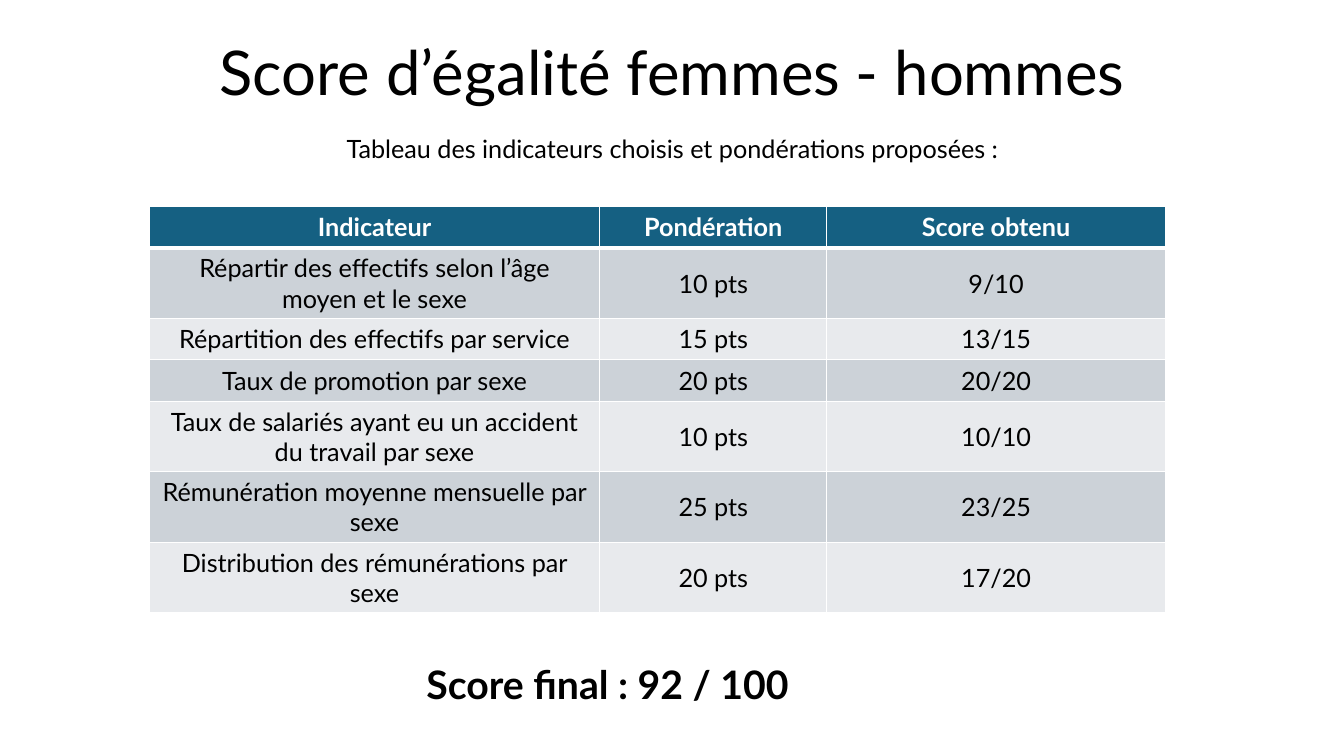
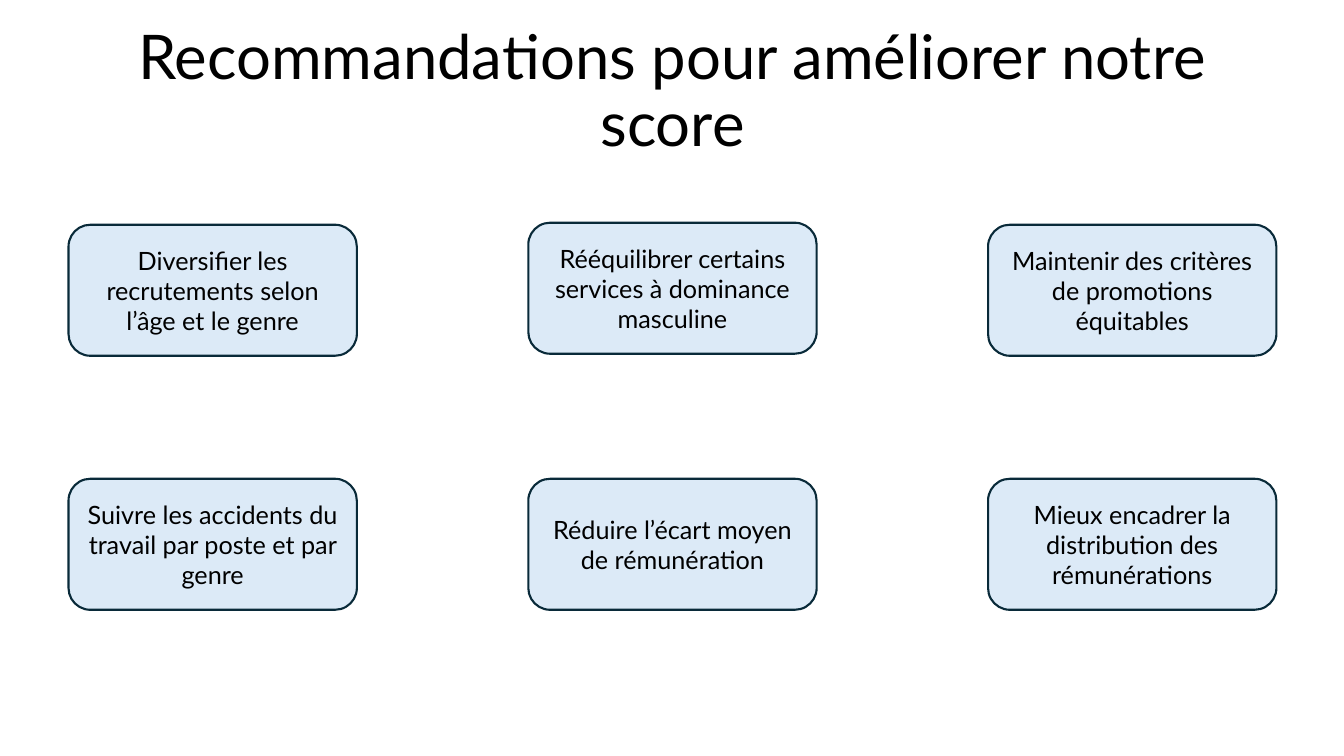
from dataclasses import dataclass

from lxml import etree
from pptx import Presentation
from pptx.dml.color import RGBColor
from pptx.enum.shapes import MSO_SHAPE
from pptx.enum.text import MSO_ANCHOR, MSO_AUTO_SIZE, PP_ALIGN
from pptx.oxml.ns import qn
from pptx.util import Emu, Pt

ROUNDED = MSO_SHAPE.ROUNDED_RECTANGLE
TOP, MIDDLE = MSO_ANCHOR.TOP, MSO_ANCHOR.MIDDLE
CENTER = PP_ALIGN.CENTER
FIXED, GROW = MSO_AUTO_SIZE.NONE, MSO_AUTO_SIZE.SHAPE_TO_FIT_TEXT

EMU_PER_PX = 9144  # 100 px to the inch
TITLE_ONLY = 5


@dataclass(frozen=True)
class Theme:
    font: str = "Lato"
    ink: str = "000000"
    paper: str = "FFFFFF"
    header: str = "156082"
    bands: tuple = ("CCD2D8", "E8EAED")
    card: str = "DCEAF7"
    card_line: str = "092A39"
    title_size: int = 44
    score_size: int = 28
    body_size: int = 18


def px(length):
    return Emu(length * EMU_PER_PX)


def color(value):
    return RGBColor.from_string(value)


def paint(fill, value):
    fill.solid()
    fill.fore_color.rgb = color(value)


def set_borders(cell, value, widths):
    """Draw the cell edges; widths maps lnL, lnR, lnT, lnB to points, in that order."""
    properties = cell._tc.get_or_add_tcPr()
    for place, (edge, width) in enumerate(widths.items()):
        line = etree.Element(qn(f"a:{edge}"), w=str(Pt(width)))
        fill = etree.SubElement(line, qn("a:solidFill"))
        etree.SubElement(fill, qn("a:srgbClr"), val=value)
        properties.insert(place, line)


class Deck:
    def __init__(self, theme, width, height):
        self.theme = theme
        self.file = Presentation()
        self.file.slide_width, self.file.slide_height = px(width), px(height)
        self.slide = None

    def set_text(self, frame, text, size=None, ink=None, bold=False, spacing=None):
        theme = self.theme
        para = frame.paragraphs[0]
        para.alignment = CENTER
        if spacing:
            para.line_spacing = spacing
        span = para.add_run()
        span.text = text
        formats = {"name": theme.font, "size": Pt(size or theme.body_size), "bold": bold}
        for name, value in formats.items():
            setattr(span.font, name, value)
        span.font.color.rgb = color(ink or theme.ink)

    def frame(self, box, anchor, auto_size):
        formats = {"word_wrap": True, "vertical_anchor": anchor, "auto_size": auto_size}
        for name, value in formats.items():
            setattr(box.text_frame, name, value)
        return box.text_frame

    def add_slide(self, title, top):
        self.slide = self.file.slides.add_slide(self.file.slide_layouts[TITLE_ONLY])
        box = self.slide.shapes.title
        places = {"left": 92, "top": top, "width": 1150, "height": 145}
        for name, value in places.items():
            setattr(box, name, px(value))
        self.set_text(self.frame(box, MIDDLE, FIXED), title, self.theme.title_size, spacing=0.9)

    def add_text(self, text, place, **style):
        box = self.slide.shapes.add_textbox(*map(px, place))
        self.set_text(self.frame(box, TOP, GROW), text, **style)

    def add_card(self, text, place):
        theme = self.theme
        card = self.slide.shapes.add_shape(ROUNDED, *map(px, place))
        card.shadow.inherit = False
        paint(card.fill, theme.card)
        card.line.color.rgb = color(theme.card_line)
        card.line.width = Pt(1.5)
        self.set_text(self.frame(card, MIDDLE, FIXED), text)

    def add_table(self, rows, left, top, widths, heights):
        theme = self.theme
        place = map(px, (left, top, sum(widths), sum(heights)))
        table = self.slide.shapes.add_table(len(rows), len(widths), *place).table
        for column, width in zip(table.columns, widths):
            column.width = px(width)
        for index, (row, height, texts) in enumerate(zip(table.rows, heights, rows)):
            row.height = px(height)
            is_header = index == 0
            fill = theme.header if is_header else theme.bands[(index - 1) % 2]
            ink = theme.paper if is_header else theme.ink
            borders = {
                "lnL": 1,
                "lnR": 1,
                "lnT": 3 if index == 1 else 1,
                "lnB": 3 if is_header else 1,
            }
            for cell, text in zip(row.cells, texts):
                cell.vertical_anchor = TOP if is_header else MIDDLE
                paint(cell.fill, fill)
                set_borders(cell, theme.paper, borders)
                self.set_text(cell.text_frame, text, ink=ink, bold=is_header)


def add_score_slide(deck):
    deck.add_slide("Score d’égalité femmes - hommes", top=2)
    deck.add_text(
        "Tableau des indicateurs choisis et pondérations proposées :", (253, 127, 828, 40)
    )
    one_line, two_lines = 41, 70
    rows = [
        (one_line, "Indicateur", "Pondération", "Score obtenu"),
        (two_lines, "Répartir des effectifs selon l’âge moyen et le sexe", "10 pts", "9/10"),
        (one_line, "Répartition des effectifs par service", "15 pts", "13/15"),
        (one_line, "Taux de promotion par sexe", "20 pts", "20/20"),
        (two_lines, "Taux de salariés ayant eu un accident du travail par sexe", "10 pts", "10/10"),
        (two_lines, "Rémunération moyenne mensuelle par sexe", "25 pts", "23/25"),
        (two_lines, "Distribution des rémunérations par sexe", "20 pts", "17/20"),
    ]
    heights = [height for height, *_ in rows]
    texts = [cells for _, *cells in rows]
    deck.add_table(texts, 148, 205, widths=(447, 225, 336), heights=heights)
    deck.add_text(
        "Score final : 92 / 100", (357, 650, 491, 57), size=deck.theme.score_size, bold=True
    )


def add_recommendations_slide(deck):
    deck.add_slide("Recommandations pour améliorer notre score", top=20)
    recommendations = [
        "Diversifier les recrutements selon l’âge et le genre",
        "Rééquilibrer certains services à dominance masculine",
        "Maintenir des critères de promotions équitables",
        "Suivre les accidents du travail par poste et par genre",
        "Réduire l’écart moyen de rémunération",
        "Mieux encadrer la distribution des rémunérations",
    ]
    tops = (223, 221, 223, 475, 475, 475)
    for index, (text, top) in enumerate(zip(recommendations, tops)):
        deck.add_card(text, (68 + index % 3 * 456, top, 286, 130))


def main():
    deck = Deck(Theme(), 1333, 750)
    add_score_slide(deck)
    add_recommendations_slide(deck)
    deck.file.save("out.pptx")


if __name__ == "__main__":
    main()
